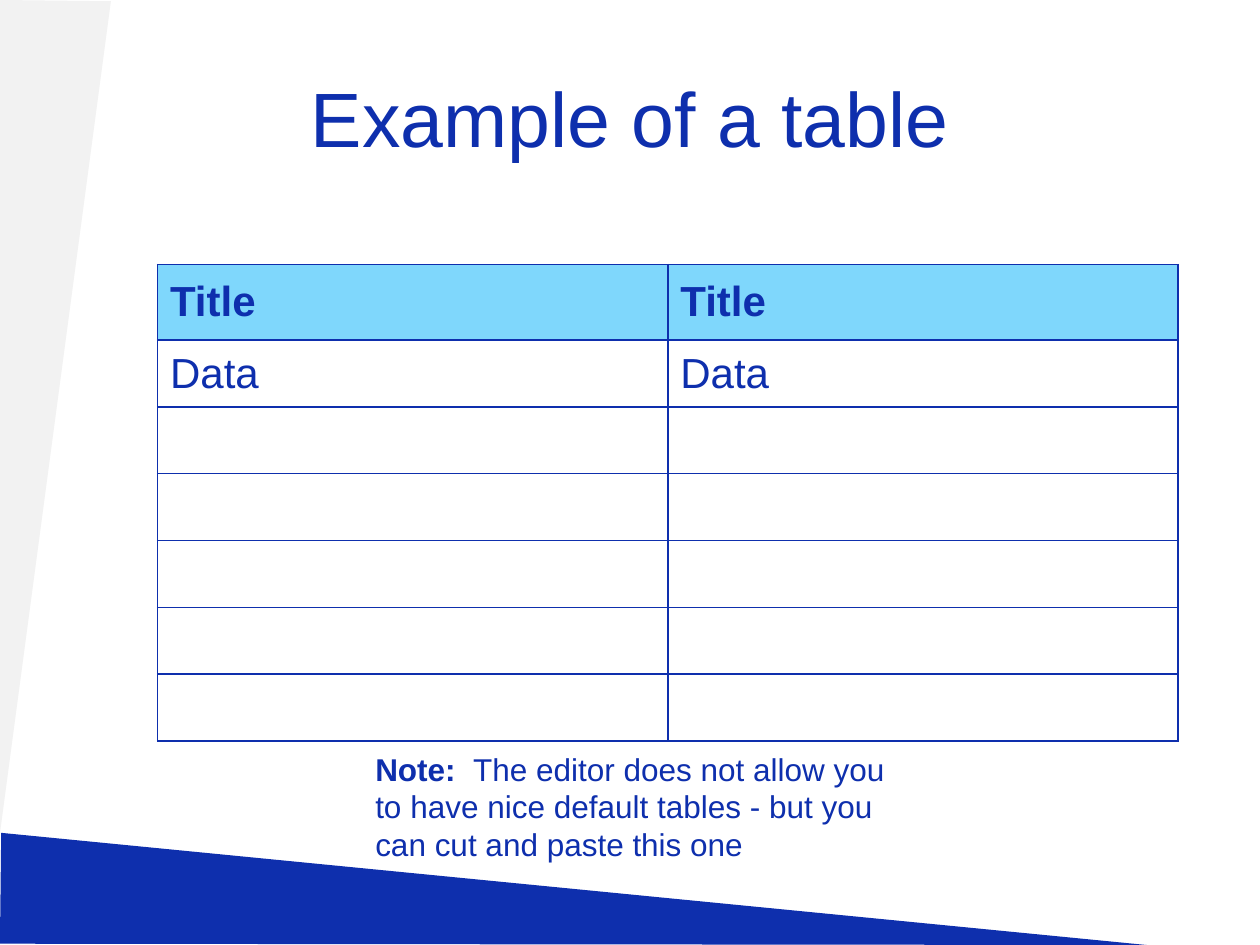
from lxml.etree import SubElement
from pptx import Presentation
from pptx.dml.color import RGBColor
from pptx.enum.text import MSO_ANCHOR, PP_ALIGN
from pptx.oxml.ns import qn
from pptx.util import Emu, Inches, Pt

NAVY = RGBColor(0x0E, 0x2F, 0xAD)
SKY = RGBColor(0x7F, 0xD7, 0xFC)
PALE_GREY = RGBColor(0xF2, 0xF2, 0xF2)
FONT = "Arial"


def add_run(paragraph, text, size, bold=False):
    """Append one navy run to a paragraph."""
    run = paragraph.add_run()
    run.text = text
    run.font.name = FONT
    run.font.size = Pt(size)
    run.font.bold = bold
    run.font.color.rgb = NAVY


def outline_cell(cell):
    """Draw a thin navy border on all four sides of a cell."""
    properties = cell._tc.get_or_add_tcPr()
    for index, side in enumerate(("lnL", "lnR", "lnT", "lnB")):
        line = properties.makeelement(qn(f"a:{side}"), {"w": str(Pt(1))})
        fill = SubElement(line, qn("a:solidFill"))
        SubElement(fill, qn("a:srgbClr"), val=str(NAVY))
        properties.insert(index, line)


prs = Presentation()
prs.slide_width, prs.slide_height = Inches(10), Inches(7.5)
slide = prs.slides.add_slide(prs.slide_layouts[5])

# Background wedges, with corners in hundredths of an inch
wedges = [
    (NAVY, [(910, 750), (0, 749), (1, 661)]),
    (PALE_GREY, [(0, 661), (0, 0), (88, 1)]),
]
for colour, (start, *corners) in wedges:
    builder = slide.shapes.build_freeform(*start, scale=Inches(0.01))
    builder.add_line_segments(corners, close=True)
    wedge = builder.convert_to_shape()
    wedge.shadow.inherit = False
    wedge.fill.solid()
    wedge.fill.fore_color.rgb = colour
    wedge.line.fill.background()

# Title
heading = slide.shapes.title
heading.left, heading.top = Inches(0.5), Inches(0.3)
heading.width, heading.height = Inches(9), Inches(1.25)
heading.text_frame.vertical_anchor = MSO_ANCHOR.MIDDLE
heading_line = heading.text_frame.paragraphs[0]
heading_line.alignment = PP_ALIGN.CENTER
add_run(heading_line, "Example of a table", 44)

# Table
ROWS, COLUMNS = 7, 2
HEADER_HEIGHT, ROW_HEIGHT = Inches(0.6), Inches(0.53)
table_width = Inches(8.1)
entries = ["Title", "Data"]
table = slide.shapes.add_table(
    ROWS, COLUMNS, Inches(1.25), Inches(2.1), table_width,
    Emu(HEADER_HEIGHT + (ROWS - 1) * ROW_HEIGHT)).table
table.first_row = table.horz_banding = False
for column in table.columns:
    column.width = Emu(table_width // COLUMNS)

for number, row in enumerate(table.rows):
    is_header = number == 0
    row.height = HEADER_HEIGHT if is_header else ROW_HEIGHT
    for cell in row.cells:
        cell.vertical_anchor = MSO_ANCHOR.MIDDLE
        if is_header:
            cell.fill.solid()
            cell.fill.fore_color.rgb = SKY
        else:
            cell.fill.background()
        outline_cell(cell)
        if number < len(entries):
            add_run(cell.text_frame.paragraphs[0], entries[number], 24, is_header)

# Note below the table
note = slide.shapes.add_textbox(Inches(2.88), Inches(5.9), Inches(4.49), Inches(1))
note.text_frame.word_wrap = True
note_line = note.text_frame.paragraphs[0]
add_run(note_line, "Note:  ", 18, bold=True)
add_run(note_line, "The editor does not allow you to have nice default tables"
                   " - but you can cut and paste this one", 18)

prs.save("out.pptx")
